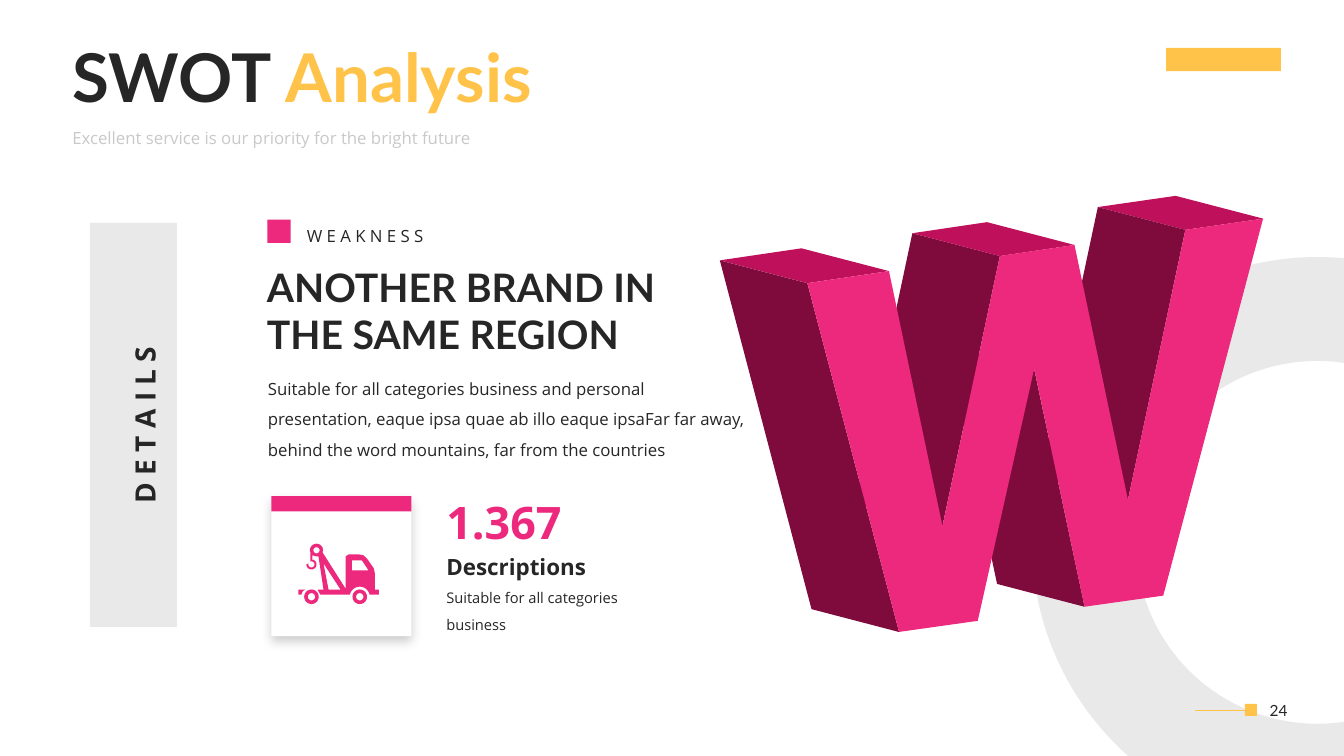
from math import acos, asin, cos, degrees, radians, sin

from lxml.etree import SubElement
from pptx import Presentation
from pptx.dml.color import RGBColor
from pptx.enum.shapes import MSO_CONNECTOR, MSO_SHAPE
from pptx.enum.text import MSO_ANCHOR, MSO_AUTO_SIZE, PP_ALIGN
from pptx.oxml.ns import qn
from pptx.util import Pt

INK = RGBColor(0x26, 0x26, 0x26)
AMBER = RGBColor(0xFF, 0xC3, 0x4A)
PINK = RGBColor(0xEC, 0x29, 0x7C)
CRIMSON = RGBColor(0xBF, 0x11, 0x5B)
MAROON = RGBColor(0x7F, 0x0B, 0x3D)
SILVER = RGBColor(0xE9, 0xE9, 0xE9)
GREY = RGBColor(0xC9, 0xC9, 0xC9)
WHITE = RGBColor(0xFF, 0xFF, 0xFF)
LATO, OPEN_SANS = "Lato", "Open Sans"
SLIDE_W, SLIDE_H = 960, 540

# Colored runs, box (left, top, width, height), font, size, bold, line spacing
TITLE = ([("SWOT ", INK), ("Analysis", AMBER)],
         (44.6, 25.2, 576.7, 65.5), LATO, 48, True, 0.9)
TAGLINE = ([("Excellent service is our priority for the bright future", GREY)],
           (44.6, 89.3, 347, 17.3), OPEN_SANS, 12, False, 0.9)
PAGE_NUMBER = ([("24", INK)], (891.4, 492.5, 43.9, 29.5), LATO, 11, False, 1)
DETAILS = ([("D E T A I L S", INK)],
           (5, 283.7, 180.7, 39.6), OPEN_SANS, 20, True, 1.5)
BODY_TEXTS = [
    ([("ANOTHER BRAND IN THE SAME REGION", INK)],
     (183.6, 184.3, 320.4, 74.9), LATO, 28, True, 1),
    ([("Suitable for all categories business and personal presentation, "
       "eaque ipsa quae ab illo eaque ipsaFar far away, behind the word "
       "mountains, far from the countries", INK)],
     (184.3, 259.9, 360.7, 70.6), OPEN_SANS, 12, False, 1.5),
    ([("W E A K N E S S", INK)],
     (212.1, 150.5, 104, 26.6), OPEN_SANS, 12, False, 1.5),
    ([("1.367", PINK)], (311.8, 330.5, 132.5, 59), OPEN_SANS, 32, True, 1.5),
    ([("Suitable for all categories business", INK)],
     (311.8, 411.1, 163.4, 43.2), OPEN_SANS, 10.5, False, 1.5),
    ([("Descriptions", INK)],
     (311.8, 391.7, 122.4, 26.6), OPEN_SANS, 16, True, 1),
]

DETAILS_BAR = (64.2, 159.2, 62.2, 288.6)
WEAKNESS_MARK = (190.9, 156.9, 16.7, 16.7)
CARD = (193.8, 354.4, 100, 100)
CARD_BAND = (*CARD[:3], 11)
PAGE_LINE = (853.5, 507.2, 889.2)  # left, y, right
PAGE_MARK = (889.2, 502.8, 8.6, 8.6)
LOGO_BLOCK = (833, 34.3, 82, 16.5)

RING_X, RING_Y, RING_OUTER, RING_INNER = 941, 387.4, 203.8, 129.6

# Front face of the letter W, clockwise from the right arm's top left corner
W_FRONT = [(846.7, 164.2), (902.2, 156.2), (830.9, 425.5), (774.7, 433.4),
           (738.7, 263.5), (698.4, 443.5), (642.2, 451.4), (576.7, 202.3),
           (635, 193.7), (673.2, 375.8), (714.2, 182.9), (767.5, 175),
           (805.7, 357.1)]
W_DEPTH = (62.5, 16.3)
# Front edges that reach back, as (corner, corner, color), back to front
W_EDGES = [(0, 1, CRIMSON), (0, 12, MAROON), (3, 4, MAROON), (10, 9, MAROON),
           (10, 11, CRIMSON), (7, 8, CRIMSON), (6, 7, MAROON)]

TRUCK_ORIGIN = (213.1, 388.1)


def arc(x, y, radius, start, end, steps=24):
    """Points along an arc; degrees run clockwise from the right."""
    angles = [radians(start + (end - start) * i / steps) for i in range(steps + 1)]
    return [(x + radius * cos(a), y + radius * sin(a)) for a in angles]


def circle(x, y, radius):
    return arc(x, y, radius, 0, 360)


def tow_truck():
    """Contours of the tow truck, in points from its top left corner."""
    chassis = [(57.6, 33.1), (57.6, 36.7), *arc(43.9, 38.2, 7.2, -12, -168),
               (15.8, 36.7), (13.7, 33.1), (18, 33.1), (14.4, 9.4), (13, 9.4),
               (10.1, 8.6), (10.1, 12.2)]
    hook = [*arc(9.4, 15.1, 3.6, -70, 180), (7.2, 14.4),
            *arc(9.4, 15.1, 2.2, 180, -90), (8.6, 13), (8.6, 6.5)]
    boom = [*arc(13, 5, 4.7, 180, 360), (17.3, 6.5), (33.8, 32.4)]
    cab = [(33.8, 9.4), (36, 7.9), (43.2, 7.9), (46.5, 8.6), (49, 10.8),
           (54, 18), (54.7, 21.6), (54.7, 33.1)]
    tail = [(2.2, 36.7), (0, 36.7), (0, 33.1), (5, 33.1), (3.2, 34.2)]
    boom_gap = [(21.6, 33.1), (30.2, 33.1), (18, 14.4)]
    window = [(49.7, 18.7), (45.4, 12.2), (38.2, 12.2), (38.2, 19.4), (49.7, 19.4)]
    wheels = [circle(x, 38.2, r) for x in (43.9, 9.4) for r in (5.2, 2.6)]
    return [chassis + hook + boom + cab, tail, boom_gap, window,
            circle(13, 5, 2.2), *wheels]


def paint(shape, color):
    shape.shadow.inherit = False
    shape.fill.solid()
    shape.fill.fore_color.rgb = color
    shape.line.fill.background()
    return shape


def add_outline(shapes, contours, color, origin=(0, 0)):
    """Draw closed contours as one shape; inner contours become holes."""
    placed = [[(Pt(origin[0] + x), Pt(origin[1] + y)) for x, y in contour]
              for contour in contours]
    builder = shapes.build_freeform(*placed[0][0], scale=1.0)
    for i, contour in enumerate(placed):
        if i:
            builder.move_to(*contour[0])
        builder.add_line_segments(contour[1:], close=True)
    return paint(builder.convert_to_shape(), color)


def add_block(shapes, box, color):
    return paint(shapes.add_shape(MSO_SHAPE.RECTANGLE, *map(Pt, box)), color)


def add_text(shapes, entry, align=PP_ALIGN.LEFT, middle=False, before=0, grow=False):
    runs, box, font_name, size, bold, spacing = entry
    holder = shapes.add_textbox(*map(Pt, box))
    frame = holder.text_frame
    frame.word_wrap = True
    frame.auto_size = MSO_AUTO_SIZE.SHAPE_TO_FIT_TEXT if grow else MSO_AUTO_SIZE.NONE
    frame.vertical_anchor = MSO_ANCHOR.MIDDLE if middle else MSO_ANCHOR.TOP
    paragraph = frame.paragraphs[0]
    paragraph.alignment = align
    paragraph.line_spacing = spacing
    paragraph.space_before = Pt(before)
    font = paragraph.font
    font.name, font.size, font.bold = font_name, Pt(size), bold
    for words, color in runs:
        run = paragraph.add_run()
        run.text = words
        run.font.color.rgb = color
    return holder


def add_ring(shapes):
    """Draw the ring, cut off at the right and bottom slide edges."""
    reach = SLIDE_W - RING_X
    outer_start = -degrees(acos(reach / RING_OUTER))
    outer_end = degrees(asin((SLIDE_H - RING_Y) / RING_OUTER)) - 180
    inner_start = degrees(acos(reach / RING_INNER))
    outer = arc(RING_X, RING_Y, RING_OUTER, outer_start, -180 - (180 + outer_end), 72)
    inner = arc(RING_X, RING_Y, RING_INNER, inner_start, 360 - inner_start, 72)
    add_outline(shapes, [outer + [(SLIDE_W, SLIDE_H)] + inner], SILVER)


def add_letter_w(shapes):
    depth_x, depth_y = W_DEPTH
    for first, second, color in W_EDGES:
        a, b = W_FRONT[first], W_FRONT[second]
        back = [(x - depth_x, y - depth_y) for x, y in (b, a)]
        add_outline(shapes, [[a, b, *back]], color)
    add_outline(shapes, [W_FRONT], PINK)


def add_page_marker(shapes):
    left, y, right = PAGE_LINE
    rule = shapes.add_connector(MSO_CONNECTOR.STRAIGHT, Pt(left), Pt(y), Pt(right), Pt(y))
    rule.line.color.rgb = AMBER
    rule.line.width = Pt(0.5)
    SubElement(rule._element.spPr, qn("a:effectLst"))
    add_block(shapes, PAGE_MARK, AMBER)


def cast_shadow(shape):
    effects = shape._element.spPr.find(qn("a:effectLst"))
    shadow = SubElement(effects, qn("a:outerShdw"), blurRad=str(Pt(8)),
                        dist=str(Pt(4)), dir="5400000", algn="t", rotWithShape="0")
    black = SubElement(shadow, qn("a:srgbClr"), val="000000")
    SubElement(black, qn("a:alpha"), val="20000")


def main():
    deck = Presentation()
    deck.slide_width, deck.slide_height = Pt(SLIDE_W), Pt(SLIDE_H)
    shapes = deck.slides.add_slide(deck.slide_layouts[6]).shapes

    add_ring(shapes)
    add_text(shapes, PAGE_NUMBER, PP_ALIGN.CENTER, middle=True)
    add_text(shapes, TITLE, middle=True, before=10)
    add_text(shapes, TAGLINE, before=10)
    add_letter_w(shapes.add_group_shape().shapes)
    add_page_marker(shapes.add_group_shape().shapes)
    add_block(shapes, LOGO_BLOCK, AMBER)

    add_block(shapes, WEAKNESS_MARK, PINK)
    cast_shadow(add_block(shapes, CARD, WHITE))
    add_block(shapes, CARD_BAND, PINK)
    for entry in BODY_TEXTS:
        add_text(shapes, entry, grow=True)
    add_block(shapes, DETAILS_BAR, SILVER)
    add_text(shapes, DETAILS, PP_ALIGN.CENTER, grow=True).rotation = 270
    add_outline(shapes, tow_truck(), PINK, TRUCK_ORIGIN)

    deck.save("out.pptx")


if __name__ == "__main__":
    main()
